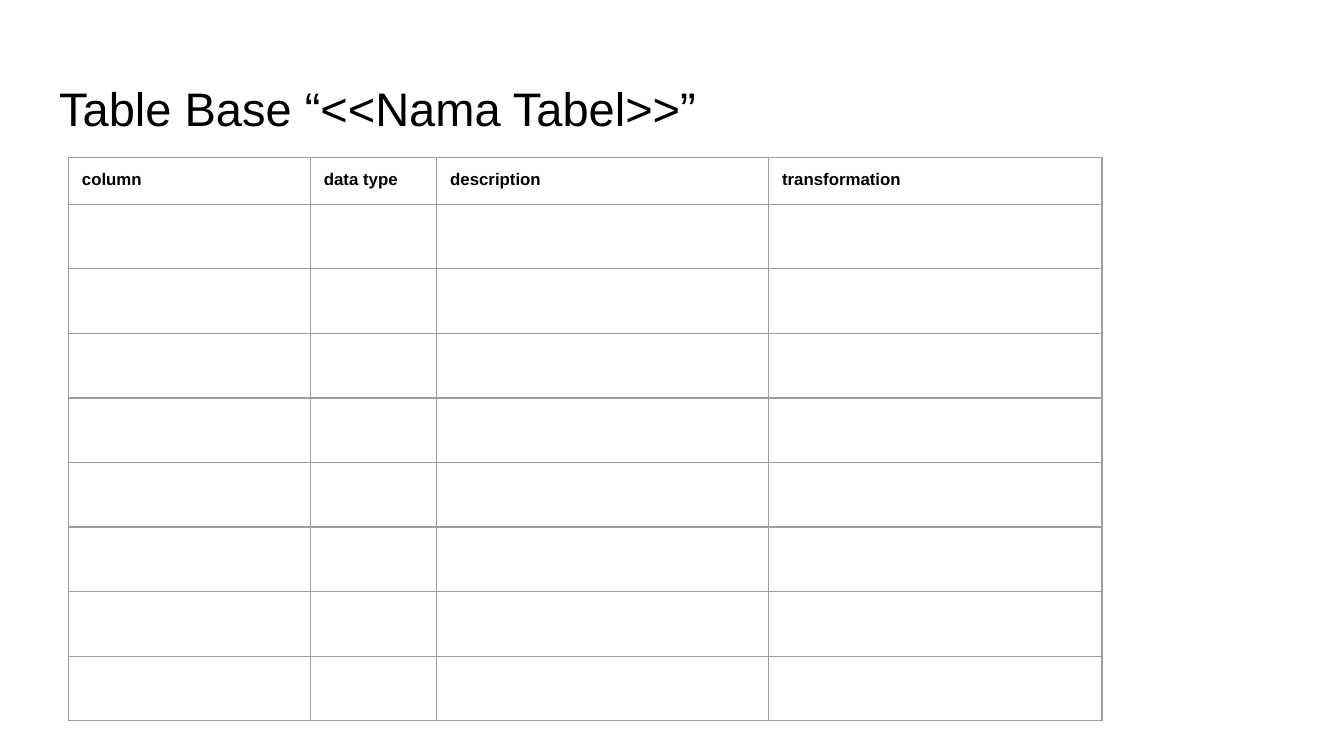
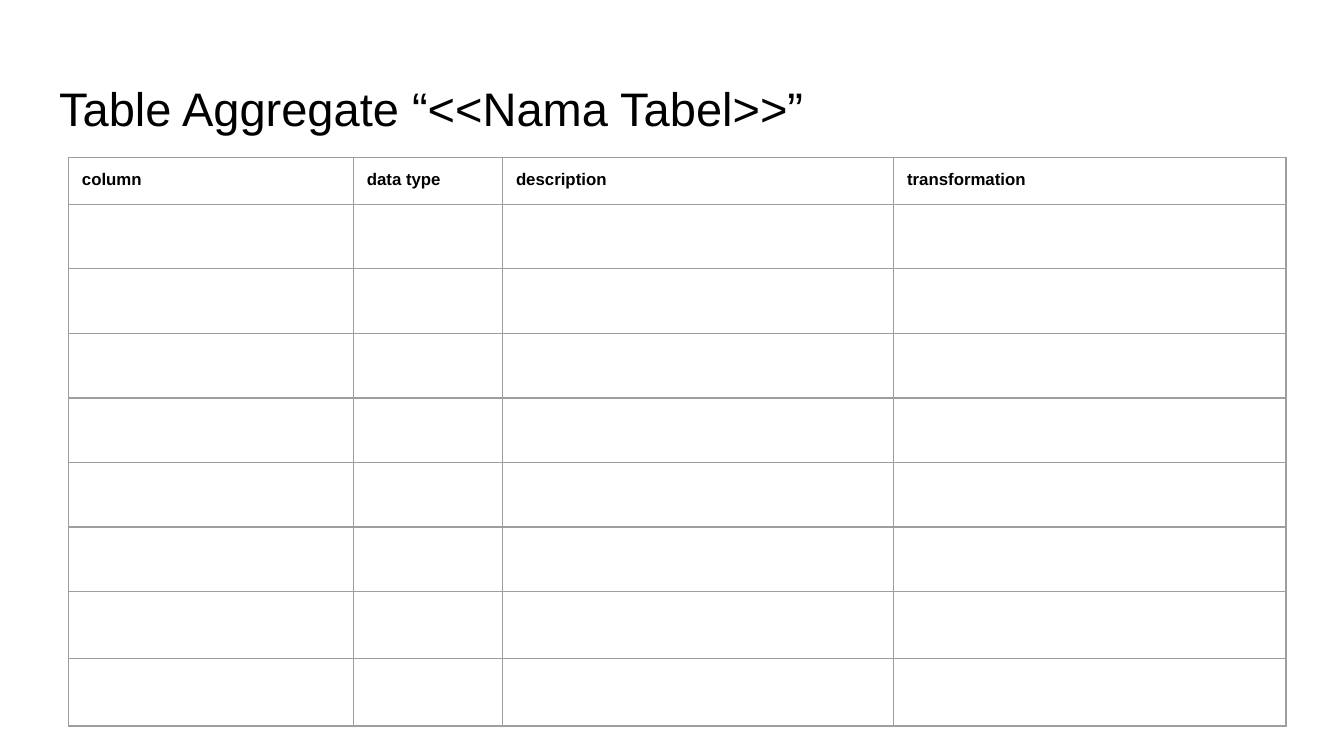
"""Build two slides of blank column-specification tables."""
from lxml import etree
from pptx import Presentation
from pptx.dml.color import RGBColor
from pptx.enum.text import MSO_ANCHOR, PP_ALIGN
from pptx.oxml.ns import qn
from pptx.util import Inches, Pt

LEFT, TOP = PP_ALIGN.LEFT, MSO_ANCHOR.TOP
FONT = "Arial"
COLORS = {"text": "000000", "grid": "9E9E9E", "back": "FFFFFF"}
PAD = Inches(0.1)
HEADS = ["column", "data type", "description", "transformation"]
SLIDES = [
    {"title": "Table Base “<<Nama Tabel>>”",
     "cols": [1.8, 0.94, 2.47, 2.48],
     "rows": [0.35] * 9,
     "front": False},
    {"title": "Table Aggregate “<<Nama Tabel>>”",
     "cols": [2.12, 1.11, 2.91, 2.92],
     "rows": [0.35] * 7 + [0.5] * 2,
     "front": True},
]


def style(par, size, bold=False):
    """Format the runs of a paragraph."""
    par.alignment = LEFT
    for run in par.runs:
        font = run.font
        font.name, font.size, font.bold = FONT, Pt(size), bold
        font.color.rgb = RGBColor.from_string(COLORS["text"])


def pad(box):
    """Give a cell or text frame equal margins."""
    box.margin_left = box.margin_right = PAD
    box.margin_top = box.margin_bottom = PAD


def add_title(slide, text):
    """Place and format the slide title."""
    title = slide.shapes.title
    title.left, title.top = Inches(0.34), Inches(0.49)
    title.width, title.height = Inches(9.32), Inches(0.63)
    frame = title.text_frame
    frame.text = text
    frame.word_wrap = True
    frame.vertical_anchor = TOP
    pad(frame)
    style(frame.paragraphs[0], 25.2)
    return title


def add_grid(cell):
    """Draw the four borders of a cell."""
    props = cell._tc.get_or_add_tcPr()
    for side in ("a:lnL", "a:lnR", "a:lnT", "a:lnB"):
        line = etree.SubElement(props, qn(side), w=str(Pt(0.75)))
        fill = etree.SubElement(line, qn("a:solidFill"))
        etree.SubElement(fill, qn("a:srgbClr"), val=COLORS["grid"])


def set_blank(par):
    """Set the font that gives an empty cell its height."""
    end = etree.SubElement(par._p, qn("a:endParaRPr"), sz="1800")
    etree.SubElement(end, qn("a:latin"), typeface=FONT)


def add_table(slide, cols, rows):
    """Add a bordered table with a bold head row."""
    table = slide.shapes.add_table(
        len(rows), len(cols), Inches(0.51), Inches(1.17),
        Inches(sum(cols)), Inches(sum(rows))).table
    table.first_row = table.horz_banding = False
    for col, width in zip(table.columns, cols):
        col.width = Inches(width)
    for row, height in zip(table.rows, rows):
        row.height = Inches(height)
    for cell in table.iter_cells():
        pad(cell)
        cell.vertical_anchor = TOP
        add_grid(cell)
        cell.fill.background()
    for cell, head in zip(table.rows[0].cells, HEADS):
        cell.text_frame.text = head
        style(cell.text_frame.paragraphs[0], 9, True)
    for cell in list(table.iter_cells())[len(HEADS):]:
        set_blank(cell.text_frame.paragraphs[0])


def main():
    """Build and save the deck."""
    deck = Presentation()
    deck.slide_width = Inches(10)
    deck.slide_height = deck.slide_width * 9 // 16
    fill = deck.slide_master.background.fill
    fill.solid()
    fill.fore_color.rgb = RGBColor.from_string(COLORS["back"])
    for data in SLIDES:
        slide = deck.slides.add_slide(deck.slide_layouts[5])
        title = add_title(slide, data["title"])
        add_table(slide, data["cols"], data["rows"])
        if data["front"]:
            title.element.getparent().append(title.element)
    deck.save("out.pptx")


if __name__ == "__main__":
    main()
